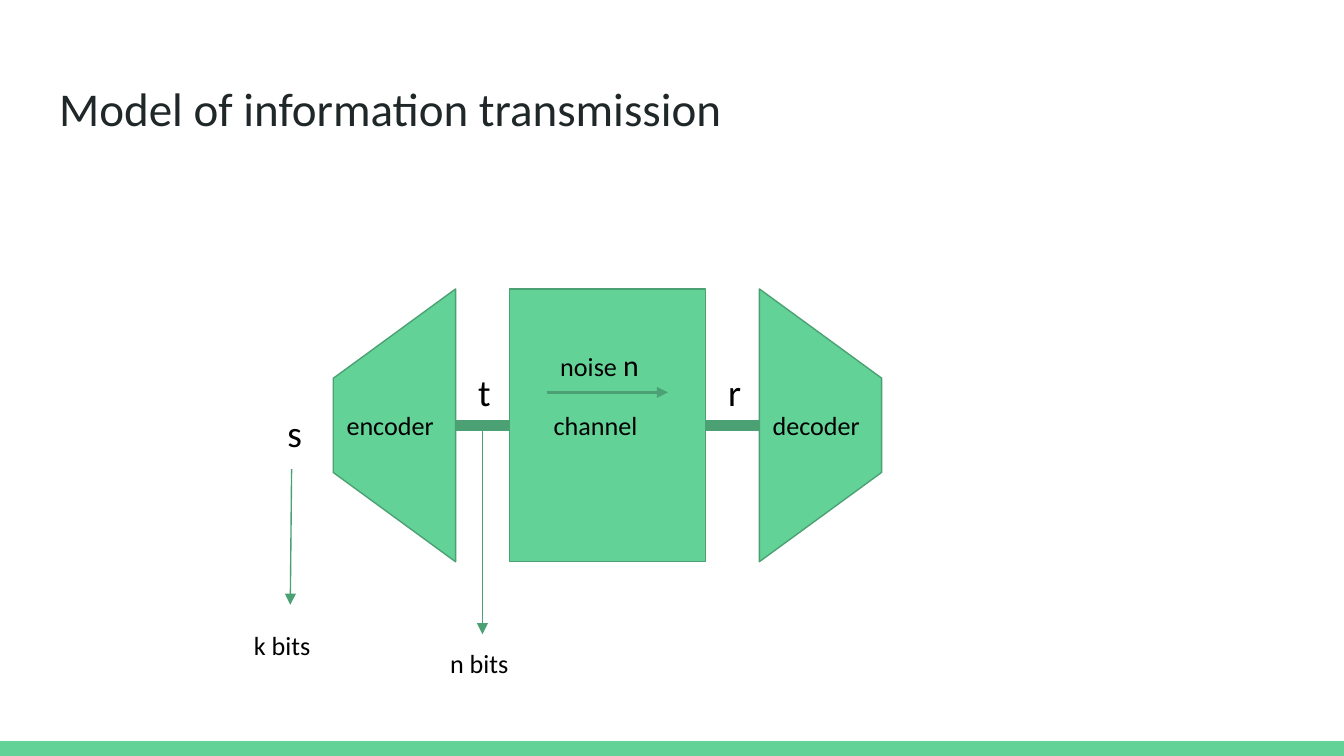
from itertools import accumulate

from lxml import etree
from pptx import Presentation
from pptx.dml.color import RGBColor
from pptx.enum.shapes import MSO_CONNECTOR, MSO_SHAPE
from pptx.enum.text import MSO_ANCHOR, PP_ALIGN
from pptx.oxml.ns import qn
from pptx.util import Inches, Pt

LINE = MSO_CONNECTOR.STRAIGHT
RECT = MSO_SHAPE.RECTANGLE
TRAPEZOID = MSO_SHAPE.TRAPEZOID
TOP = MSO_ANCHOR.TOP
LEFT = PP_ALIGN.LEFT

GREEN = RGBColor(0x63, 0xD2, 0x97)
DARK_GREEN = RGBColor(0x4B, 0xA1, 0x73)
INK = RGBColor(0x20, 0x27, 0x29)
BLACK = RGBColor(0, 0, 0)
FONT = "Calibri"
W = 10
H = W * 9 / 16
CODER_W, LINK_W, CHANNEL_W = 0.91, 0.4, 1.46


def write(tf, *runs, color=BLACK):
    tf.word_wrap = True
    tf.vertical_anchor = TOP
    tf.margin_left = tf.margin_right = tf.margin_top = tf.margin_bottom = Inches(0.1)
    p = tf.paragraphs[0]
    p.alignment = LEFT
    for text, size in runs:
        r = p.add_run()
        r.text = text
        r.font.name = FONT
        r.font.size = Pt(size)
        r.font.color.rgb = color


def add_label(s, x, y, w, h, *runs):
    box = s.shapes.add_textbox(Inches(x), Inches(y), Inches(w), Inches(h))
    write(box.text_frame, *runs)


def add_block(s, kind, x, y, w, h, outline=True):
    sp = s.shapes.add_shape(kind, Inches(x), Inches(y), Inches(w), Inches(h))
    sp.shadow.inherit = False
    sp.fill.solid()
    sp.fill.fore_color.rgb = GREEN
    if outline:
        sp.line.color.rgb = DARK_GREEN
        sp.line.width = Pt(0.75)
    else:
        sp.line.fill.background()
    return sp


def add_line(s, x1, y1, x2, y2, width=0.75, arrow=True):
    c = s.shapes.add_connector(LINE, Inches(x1), Inches(y1), Inches(x2), Inches(y2))
    c.line.color.rgb = DARK_GREEN
    c.line.width = Pt(width)
    if arrow:
        ln = c._element.spPr.find(qn("a:ln"))
        etree.SubElement(ln, qn("a:tailEnd"), type="triangle")
    etree.SubElement(c._element.spPr, qn("a:effectLst"))


def add_title(s, x, y, w, h, text):
    title = s.shapes.title
    title.left, title.top, title.width, title.height = map(Inches, (x, y, w, h))
    write(title.text_frame, (text, 25.2), color=INK)


def add_coder(s, x, y, w, h, text, rotation):
    sp = add_block(s, TRAPEZOID, x + (w - h) / 2, y + (h - w) / 2, h, w)
    sp.adjustments[0] = 0.73
    sp.rotation = rotation
    add_label(s, x, y + 0.8, 0.99, 0.44, (text, 14))


def add_channel(s, x, y, w, h):
    add_block(s, RECT, x, y, w, h)
    add_label(s, x + 0.23, y + 0.8, 0.99, 0.44, ("channel", 14))
    add_label(s, x + 0.28, y + 0.33, 0.91, 0.47, ("noise ", 14), ("n", 16))
    add_line(s, x + 0.28, y + 0.77, x + 1.18, y + 0.77, 1.5)


def add_link(s, x, y, w, h, signal):
    add_line(s, x, y + h / 2, x + w, y + h / 2, 6, arrow=False)
    add_label(s, x + 0.07, y + 0.5, 0.33, 0.54, (signal, 20))


def add_bits(s, x, top, bottom, text, label_x, label_y, slant=0):
    add_line(s, x, top, x - slant, bottom)
    add_label(s, label_x, label_y, 0.68, 0.44, (text, 14))


def add_diagram(s, x, y, h):
    widths = [CODER_W, LINK_W, CHANNEL_W, LINK_W, CODER_W]
    lefts = accumulate(widths[:-1], initial=x)
    encoder, sent, channel, received, decoder = [(left, y, w, h) for left, w in zip(lefts, widths)]
    add_coder(s, *encoder, "encoder", 270)
    add_coder(s, *decoder, "decoder", 90)
    add_channel(s, *channel)
    add_link(s, *sent, "t")
    add_link(s, *received, "r")
    add_label(s, x - 0.44, y + 0.8, 0.27, 0.54, ("s", 20))
    add_bits(s, x - 0.31, y + 1.34, y + 2.35, "k bits", x - 0.69, y + 2.43, slant=0.01)
    add_bits(s, x + 1.11, y + h / 2, y + 2.57, "n bits", x + 0.77, y + 2.57)


def main():
    prs = Presentation()
    prs.slide_width, prs.slide_height = Inches(W), Inches(H)
    s = prs.slides.add_slide(prs.slide_layouts[5])
    add_block(s, RECT, 0, H - 0.11, W, 0.11, outline=False)
    add_title(s, 0.34, 0.49, W - 0.68, 0.63, "Model of information transmission")
    add_diagram(s, 2.48, 2.15, 2.03)
    prs.save("out.pptx")


if __name__ == "__main__":
    main()
